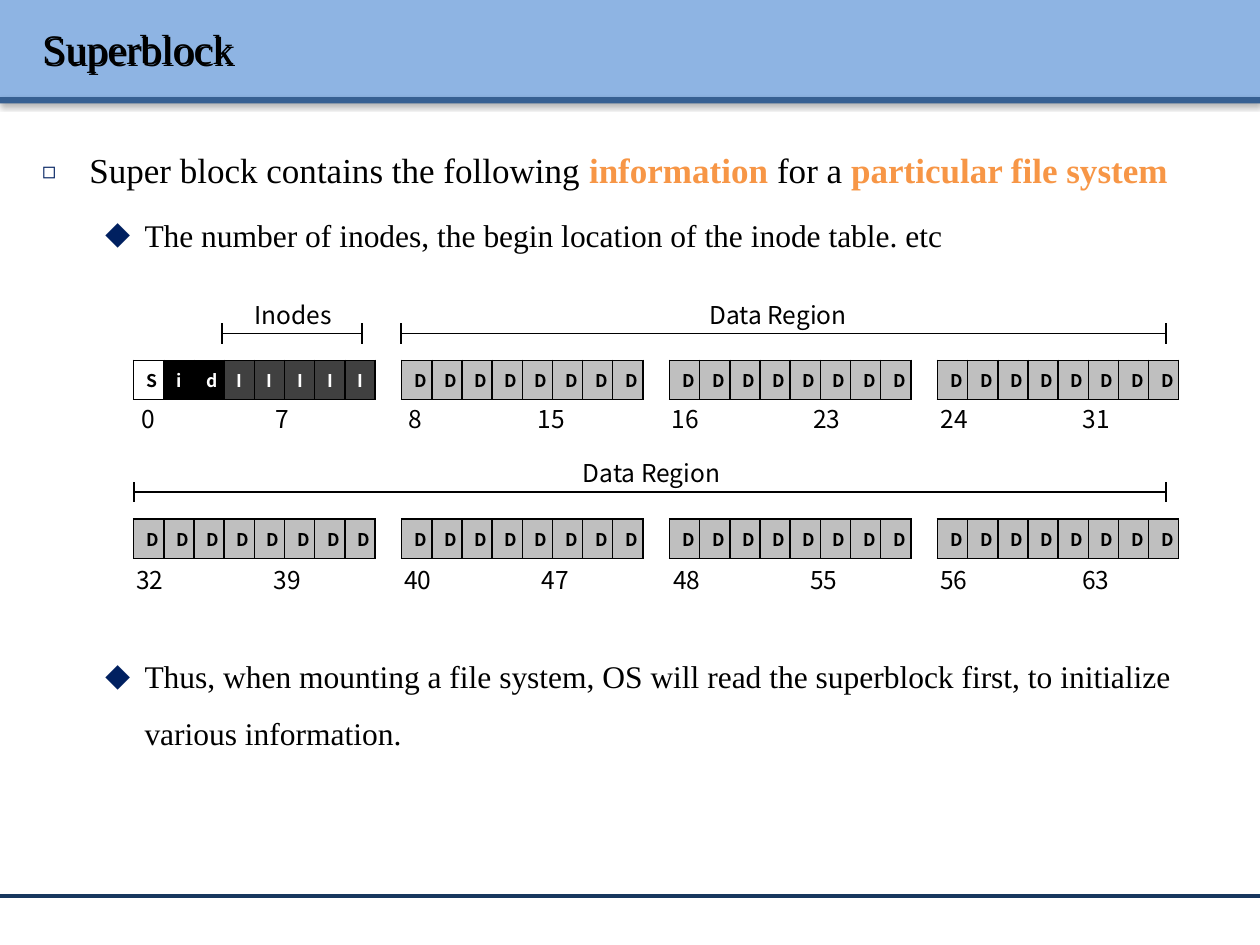
import pptx
import pptx.dml.color
import pptx.enum.shapes
import pptx.enum.text
import pptx.oxml.ns
import pptx.util
from dataclasses import dataclass
from lxml import etree

Pt = pptx.util.Pt
qn = pptx.oxml.ns.qn


@dataclass(frozen=True)
class Theme:
    serif: str = "Times New Roman"
    sans: str = "Noto Sans CJK KR"
    black: str = "000000"
    white: str = "FFFFFF"
    band: str = "8EB4E3"
    rule: str = "376092"
    foot: str = "17375E"
    mark: str = "002060"
    accent: str = "F79646"
    inode: str = "404040"
    data: str = "BFBFBF"
    title: int = 24
    lead: int = 20
    point: int = 18
    label: int = 14
    cell: int = 10


def rgb(code):
    return pptx.dml.color.RGBColor.from_string(code)


def sub(node, tag, **attrs):
    return etree.SubElement(node, qn(tag), {k: str(v) for k, v in attrs.items()})


def shade(shape, blur, dist, angle, alpha):
    """Give a shape an outer black shadow; an unfilled box shades its text."""
    outer = sub(sub(shape._element.spPr, "a:effectLst"), "a:outerShdw",
                blurRad=Pt(blur), dist=Pt(dist), dir=angle * 60000,
                algn="ctr", rotWithShape=0)
    sub(sub(outer, "a:srgbClr", val="000000"), "a:alpha", val=alpha * 1000)


class Deck:
    def __init__(self, theme, wide, high):
        self.theme = theme
        self.prs = pptx.Presentation()
        self.prs.slide_width, self.prs.slide_height = Pt(wide), Pt(high)
        self.slide = self.prs.slides.add_slide(self.prs.slide_layouts[6])
        self.shapes = self.slide.shapes

    def bar(self, top, high, fill):
        kind = pptx.enum.shapes.MSO_SHAPE.RECTANGLE
        box = self.shapes.add_shape(kind, 0, Pt(top), self.prs.slide_width, Pt(high))
        box.fill.solid()
        box.fill.fore_color.rgb = rgb(fill)
        box.line.fill.background()
        shade(box, 3.15, 1.57, 90, 38)

    def line(self, x1, y1, x2, y2, color, width=1):
        kind = pptx.enum.shapes.MSO_CONNECTOR.STRAIGHT
        link = self.shapes.add_connector(kind, Pt(x1), Pt(y1), Pt(x2), Pt(y2))
        link.line.color.rgb = rgb(color)
        link.line.width = Pt(width)
        sub(link._element.spPr, "a:effectLst")

    def span(self, left, right, mid):
        """A measuring line with a tick at each end."""
        self.line(left, mid, right, mid, self.theme.black)
        for x in (left, right):
            self.line(x, mid - 5.8, x, mid + 5.8, self.theme.black)

    def box(self, left, top, wide, high):
        box = self.shapes.add_textbox(Pt(left), Pt(top), Pt(wide), Pt(high))
        box.text_frame.word_wrap = True
        return box

    def run(self, para, text, size, face, color=None, bold=False):
        run = para.add_run()
        run.text = text
        font = run.font
        font.size, font.bold = Pt(size), bold
        font.color.rgb = rgb(color or self.theme.black)
        font.name = face

    def title(self, text):
        box = self.box(17, 4.3, 692, 46)
        shade(box, 0, 1.5, 45, 100)
        frame = box.text_frame
        frame.vertical_anchor = pptx.enum.text.MSO_ANCHOR.MIDDLE
        self.run(frame.paragraphs[0], text, self.theme.title, self.theme.serif)

    def bullet(self, para, runs, size, sign, left, hang, scale):
        props = para._p.get_or_add_pPr()
        props.set("marL", str(Pt(left)))
        props.set("indent", str(Pt(-hang)))
        sub(sub(props, "a:buClr"), "a:srgbClr", val=self.theme.mark)
        sub(props, "a:buSzPct", val=scale * 1000)
        sub(props, "a:buFont", typeface=self.theme.sans)
        sub(props, "a:buChar", char=sign)
        para.line_spacing = 1.5
        for text, color, bold in runs:
            self.run(para, text, size, self.theme.serif, color, bold)

    def point(self, para, text):
        self.bullet(para, [(text, None, False)], self.theme.point, "◆", 58.5, 22.5, 80)

    def label(self, left, top, wide, text, tab=None):
        para = self.box(left, top, wide, 24.5).text_frame.paragraphs[0]
        if tab:
            tabs = sub(para._p.get_or_add_pPr(), "a:tabLst")
            sub(tabs, "a:tab", pos=Pt(tab), algn="l")
        self.run(para, text, self.theme.label, self.theme.sans)

    def blocks(self, left, top, marks, looks):
        """A one-row table; looks gives fill and text colour by letter."""
        step, high = 16.38, 22.5
        grid = self.shapes.add_table(1, len(marks), Pt(left), Pt(top),
                                     Pt(step * len(marks)), Pt(high)).table
        grid.first_row = grid.horz_banding = False
        grid.rows[0].height = Pt(high)
        for i, mark in enumerate(marks):
            grid.columns[i].width = Pt(step)
            cell = grid.cell(0, i)
            props = cell._tc.get_or_add_tcPr()
            for side in "LRTB":
                edge = sub(props, "a:ln" + side, w=Pt(1))
                sub(sub(edge, "a:solidFill"), "a:srgbClr", val=self.theme.black)
            fill, ink = looks[mark]
            cell.fill.solid()
            cell.fill.fore_color.rgb = rgb(fill)
            cell.vertical_anchor = pptx.enum.text.MSO_ANCHOR.MIDDLE
            para = cell.text_frame.paragraphs[0]
            para.alignment = pptx.enum.text.PP_ALIGN.CENTER
            self.run(para, mark, self.theme.cell, self.theme.sans, ink, True)


def main():
    look = Theme()
    deck = Deck(look, 720, 540)

    # Header and footer
    deck.bar(0, 55.5, look.band)
    deck.bar(55.5, 3.6, look.rule)
    deck.line(0, 512, 720, 512, look.foot, 2)
    deck.title("Superblock")

    # Bullets above and below the disk map
    body = deck.box(17, 69.5, 692, 84).text_frame
    deck.bullet(body.paragraphs[0], [
        ("Super block contains the following ", None, False),
        ("information ", look.accent, True),
        ("for a ", None, False),
        ("particular file system", look.accent, True),
    ], look.lead, "◻", 27, 27, 65)
    para = body.add_paragraph()
    deck.point(para, "The number of inodes, the begin location of the inode table. etc")
    para.space_before = Pt(3.6)
    last = deck.box(17, 361.3, 692, 72).text_frame
    deck.point(last.paragraphs[0],
               "Thus, when mounting a file system, OS will read the superblock first, "
               "to initialize various information.")

    # Disk blocks, eight to a group, four groups to a row
    looks = {"S": (look.white, look.black), "i": (look.black, look.white),
             "d": (look.black, look.white), "I": (look.inode, look.white),
             "D": (look.data, look.black)}
    left, step = 76.4, 153.1
    tops = (205.9, 296.6)
    for i in range(8):
        row, col = divmod(i, 4)
        marks = "DDDDDDDD" if i else "SidIIIII"
        deck.blocks(left + col * step, tops[row], marks, looks)

    # First and last block number of each group: left edge and tab
    places = [(73.6, 76.5), (226.6, 73.5), (376.6, 81), (530.5, 81),
              (70.8, 78.5), (224, 78.5), (377.5, 78.5), (530.2, 81)]
    for i, (x, tab) in enumerate(places):
        top = (227.5, 319.5)[i // 4]
        deck.label(x, top, 146, f"{8 * i}\t{8 * i + 7}", tab)

    # Region spans
    for x1, x2, mid, x, wide, text in [
        (126.8, 206.8, 190.6, 138.2, 62, "Inodes"),
        (229, 666.2, 190.6, 398.2, 98, "Data Region"),
        (76.4, 666.2, 281.3, 326, 98, "Data Region"),
    ]:
        deck.span(x1, x2, mid)
        deck.label(x, mid - 22.9, wide, text)

    deck.prs.save("out.pptx")


if __name__ == "__main__":
    main()
